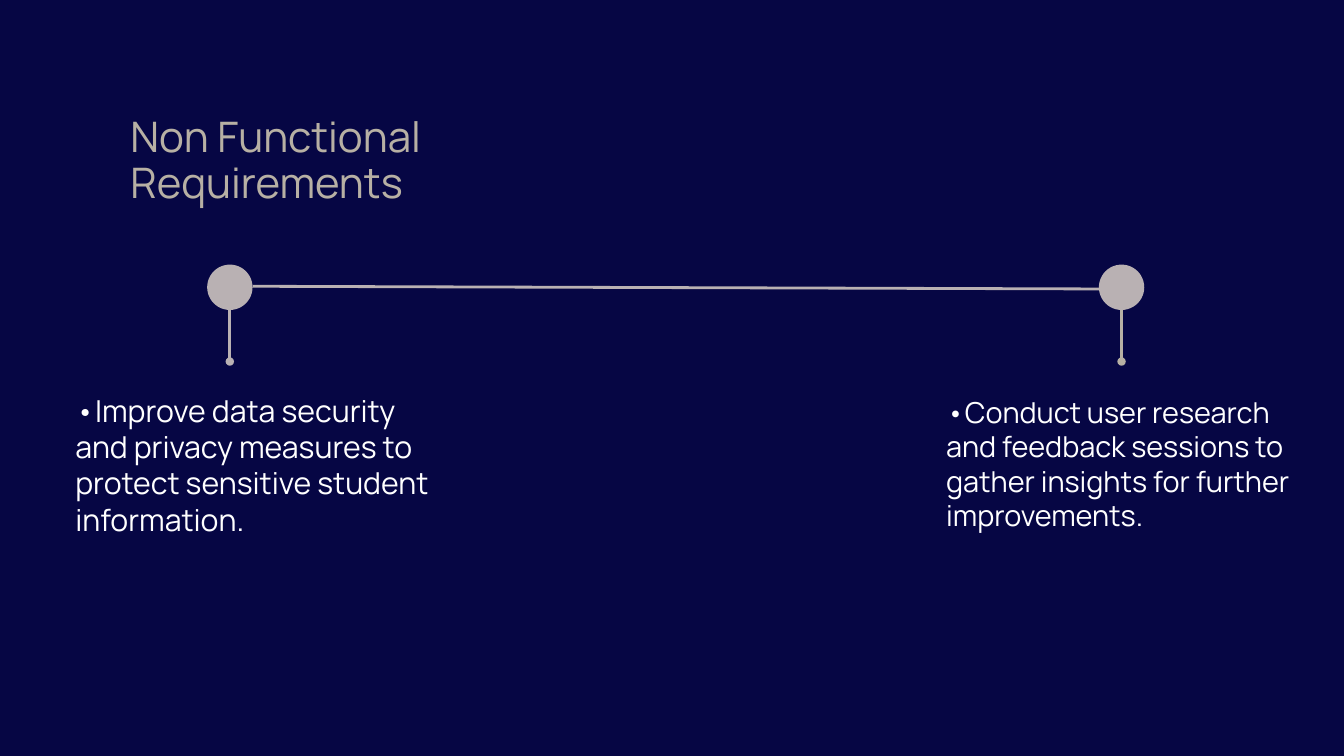
import pptx
import pptx.util
import pptx.dml.color
import pptx.enum.shapes
import pptx.enum.text
import pptx.oxml.ns
import lxml.etree

RGBColor = pptx.dml.color.RGBColor
NAVY = RGBColor(0x06, 0x06, 0x44)
MAUVE = RGBColor(0xB9, 0xB1, 0xB3)
SAND = RGBColor(0xB7, 0xB0, 0xA4)
WHITE = RGBColor(0xFF, 0xFF, 0xFF)

SLIDE_W, SLIDE_H = 20, 11.25
COLS, ROWS = 160, 90
FONT = "Manrope"
DOT = 5.4
DOT_Y = 34.2
STEM_END = 43.04


def col(n):
    return pptx.util.Inches(SLIDE_W * n / COLS)


def row(n):
    return pptx.util.Inches(SLIDE_H * n / ROWS)


def add_text(s, text, x, y, w, h, size, leading, color=WHITE):
    tf = s.shapes.add_textbox(col(x), row(y), col(w), row(h)).text_frame
    tf.word_wrap = True
    tf.auto_size = pptx.enum.text.MSO_AUTO_SIZE.SHAPE_TO_FIT_TEXT
    tf.margin_left = tf.margin_top = tf.margin_right = tf.margin_bottom = 0
    p = tf.paragraphs[0]
    p.line_spacing = pptx.util.Pt(leading)
    r = p.add_run()
    r.text = text
    r.font.name = FONT
    r.font.size = pptx.util.Pt(size)
    r.font.color.rgb = color


def add_line(s, x1, y1, x2, y2, color=MAUVE, tail=None):
    sp = s.shapes.add_connector(
        pptx.enum.shapes.MSO_CONNECTOR.STRAIGHT, col(x1), row(y1), col(x2), row(y2)
    )
    sp.line.color.rgb = color
    sp.line.width = pptx.util.Pt(3)
    qn = pptx.oxml.ns.qn
    if tail:
        lxml.etree.SubElement(sp.line._get_or_add_ln(), qn("a:tailEnd"), type=tail)
    lxml.etree.SubElement(sp._element.spPr, qn("a:effectLst"))


def add_dot(s, x):
    sp = s.shapes.add_shape(
        pptx.enum.shapes.MSO_SHAPE.OVAL,
        col(x - DOT / 2), row(DOT_Y - DOT / 2), col(DOT), row(DOT),
    )
    sp.shadow.inherit = False
    sp.fill.solid()
    sp.fill.fore_color.rgb = MAUVE
    sp.line.fill.background()


def main():
    prs = pptx.Presentation()
    prs.slide_width = pptx.util.Inches(SLIDE_W)
    prs.slide_height = pptx.util.Inches(SLIDE_H)
    s = prs.slides.add_slide(prs.slide_layouts[6])
    s.background.fill.solid()
    s.background.fill.fore_color.rgb = NAVY

    left, right = 27.36, 133.52
    add_line(s, left + DOT / 2, 34.08, right - DOT / 2, 34.4)
    for x, color in ((left, MAUVE), (right, SAND)):
        add_dot(s, x)
        add_line(s, x, DOT_Y + DOT / 2, x, STEM_END, color=color, tail="oval")

    add_text(s, "Non Functional Requirements", 15.52, 13.68, 62.16, 11.52,
             size=45, leading=49.5, color=SAND)
    add_text(s, "•Improve data security and privacy measures to protect "
             "sensitive student information.", 8.96, 46.72, 44.88, 20.96,
             size=32.4, leading=38.8)
    add_text(s, "•Conduct user research and feedback sessions to gather "
             "insights for further improvements.", 112.64, 46.96, 41.76, 20.72,
             size=30.9, leading=37)
    prs.save("out.pptx")


if __name__ == "__main__":
    main()
